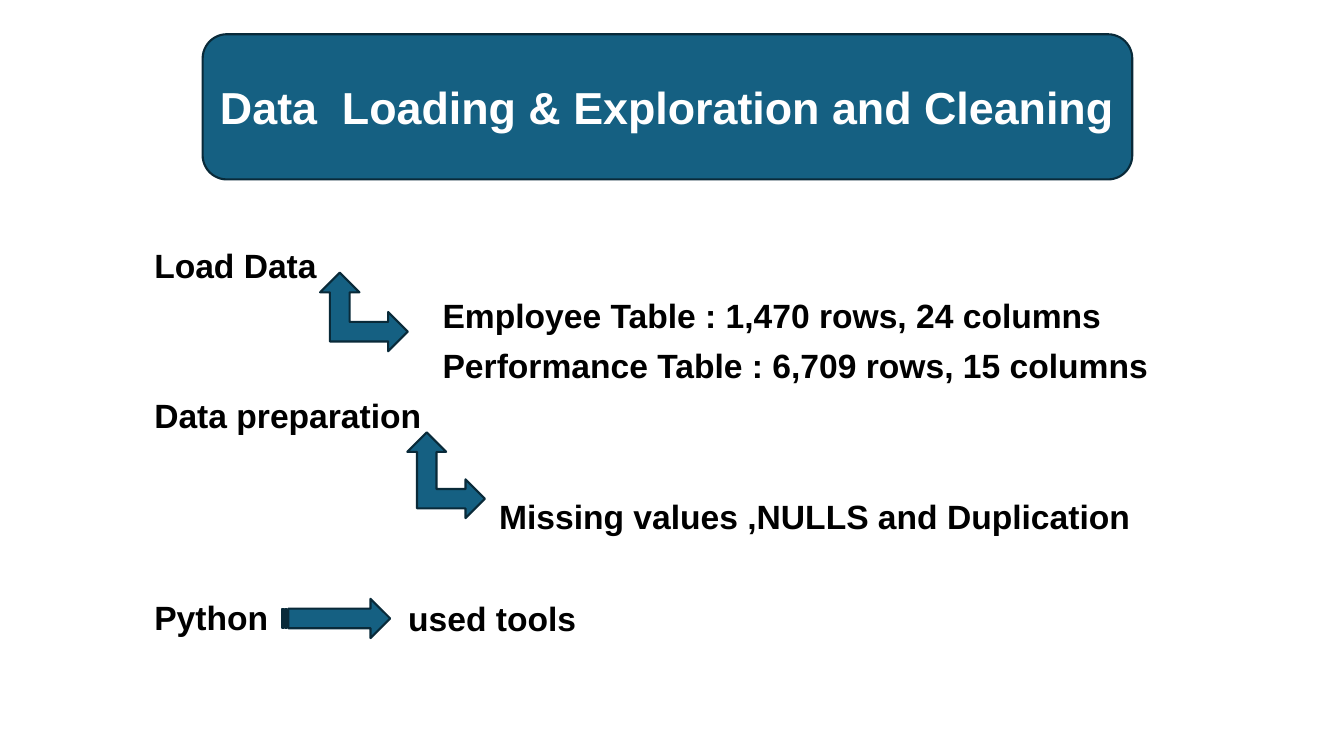
from lxml import etree
from pptx import Presentation
from pptx.dml.color import RGBColor
from pptx.enum import shapes, text
from pptx.oxml.ns import qn
from pptx.util import Inches, Pt

TEAL = RGBColor(0x15, 0x60, 0x82)
NAVY = RGBColor(0x09, 0x2A, 0x39)
WHITE = RGBColor(0xFF, 0xFF, 0xFF)
BLACK = RGBColor(0, 0, 0)

deck = Presentation()
deck.slide_width, deck.slide_height = Inches(13.33), Inches(7.5)
page = deck.slides.add_slide(deck.slide_layouts[1])
title, body = page.placeholders


def format_para(para, size, color):
    font_format = {"name": "Arial", "size": Pt(size), "bold": True}
    for key, value in font_format.items():
        setattr(para.font, key, value)
    para.font.color.rgb = color


def add_teal_shape(kind, left, top, width, height, rotation=0):
    shape = page.shapes.add_shape(
        kind, Inches(left), Inches(top), Inches(width), Inches(height))
    shape.rotation = rotation
    shape.shadow.inherit = False
    shape.fill.solid()
    shape.fill.fore_color.rgb = TEAL
    shape.line.color.rgb = NAVY
    shape.line.width = Pt(1.5)
    return shape


# Title on its banner
banner_place = (2.01, 0.34, 9.22, 1.44)
banner = add_teal_shape(shapes.MSO_SHAPE.ROUNDED_RECTANGLE, *banner_place)
title._element.addprevious(banner._element)
title.text_frame.text = "Data  Loading & Exploration and Cleaning"
title.text_frame.vertical_anchor = text.MSO_ANCHOR.MIDDLE
title_para = title.text_frame.paragraphs[0]
title_para.alignment = text.PP_ALIGN.CENTER
format_para(title_para, 32, WHITE)

body_place = (1.43, 1.88, 11.21, 4.96)
for holder, place in ((title, banner_place), (body, body_place)):
    holder.left, holder.top, holder.width, holder.height = map(Inches, place)
    holder.text_frame.auto_size = text.MSO_AUTO_SIZE.NONE

# Steps: text, indent in inches, space before in points
steps = [
    ("Load Data", 0, 0),
    ("Employee Table : 1,470 rows, 24 columns", 2.86, 10),
    ("Performance Table : 6,709 rows, 15 columns", 2.86, 10),
    ("Data preparation", 0, 10),
    ("Missing values ,NULLS and Duplication", 3.42, 46),
    ("Python", 0, 46),
]
frame = body.text_frame
frame.margin_top = Inches(0.59)
frame.text = "\n".join(words for words, _, _ in steps)
for para, (_, indent, space) in zip(frame.paragraphs, steps):
    para.line_spacing = 0.9
    para.space_before = Pt(space)
    format_para(para, 24, BLACK)
    properties = para._p.get_or_add_pPr()
    properties.set("marL", str(Inches(indent)))
    properties.set("indent", "0")
    properties.find(qn("a:spcBef")).addnext(etree.Element(qn("a:buNone")))

# Label after the Python arrow
tools_box = page.shapes.add_textbox(
    Inches(3.95), Inches(5.88), Inches(2.5), Inches(0.5))
tools_box.text_frame.word_wrap = True
tools_box.text_frame.vertical_anchor = text.MSO_ANCHOR.MIDDLE
tools_box.text_frame.text = "used tools"
format_para(tools_box.text_frame.paragraphs[0], 24, BLACK)

# Arrows from each step to its details
arrows = [
    (shapes.MSO_SHAPE.LEFT_UP_ARROW, 4, 4.33, 0.85, 0.77, 90),
    (shapes.MSO_SHAPE.LEFT_UP_ARROW, 3.22, 2.66, 0.78, 0.87, 90),
    (shapes.MSO_SHAPE.STRIPED_RIGHT_ARROW, 2.8, 5.94, 1.07, 0.39),
]
for arrow in arrows:
    add_teal_shape(*arrow)

deck.save("out.pptx")
